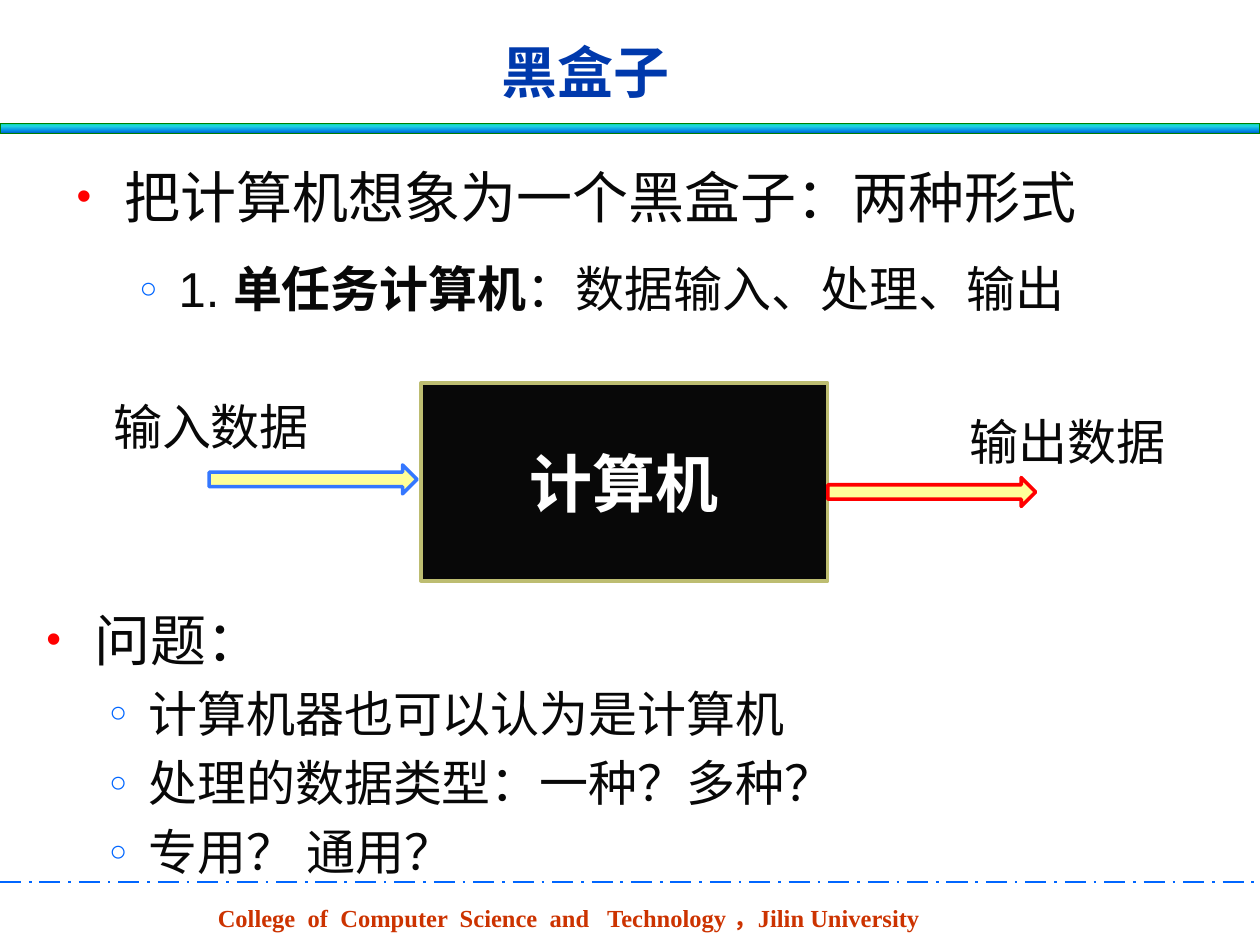
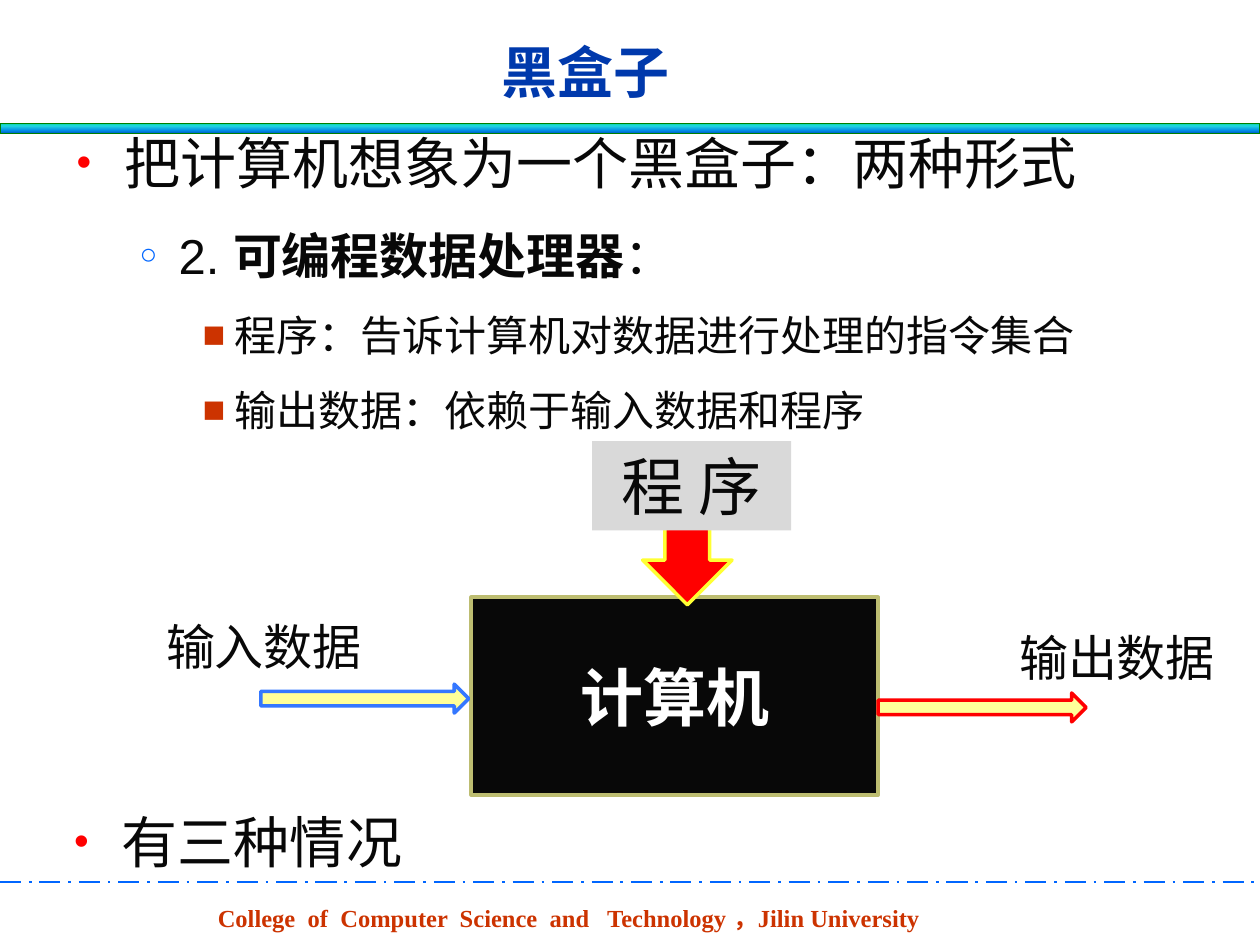
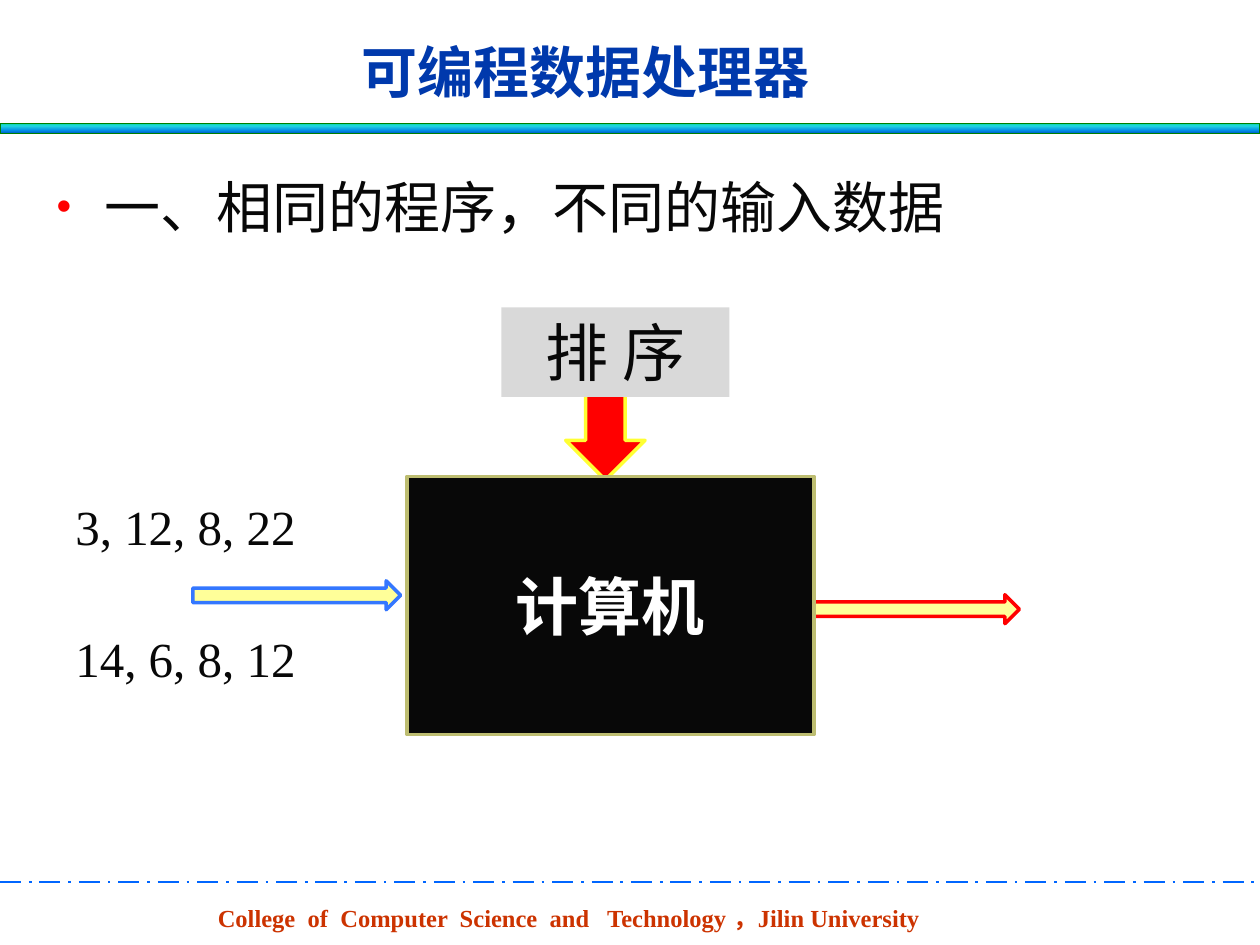
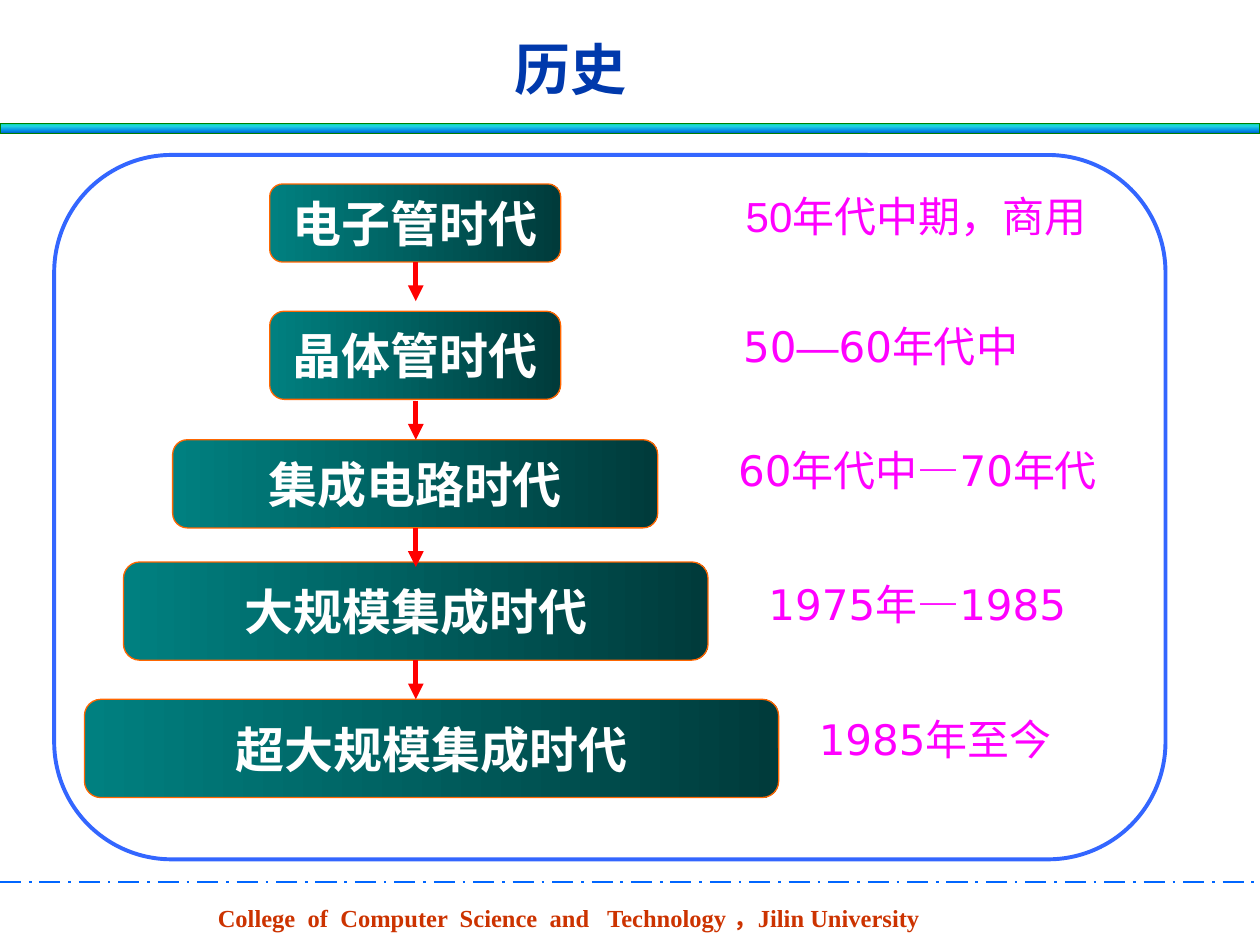
import dataclasses

import lxml.etree
import pptx
import pptx.dml.color
import pptx.enum.dml
import pptx.enum.shapes
import pptx.enum.text
import pptx.oxml.ns
import pptx.util

SHAPE = pptx.enum.shapes.MSO_SHAPE
ALIGN = pptx.enum.text.PP_ALIGN
MIDDLE = pptx.enum.text.MSO_ANCHOR.MIDDLE
TOP = pptx.enum.text.MSO_ANCHOR.TOP
SCALE = 9144


@dataclasses.dataclass(frozen=True)
class Theme:
    """Colours, faces and type styles (size, face, colour, bold) of the deck."""
    ink: str = "080808"
    red: str = "FF0000"
    blue: str = "3477FF"
    rule: str = "0066FF"
    frame: str = "3366FF"
    cream: str = "FFFF99"
    yellow: str = "FFFF33"
    olive: str = "BDBD71"
    grey: str = "D9D9D9"
    orange: str = "FF6600"
    green: str = "008000"
    asian: str = "Noto Sans CJK SC"
    band: tuple = ((0, "03D4A8"), (25, "21D6E0"), (75, "0087E6"), (100, "005CBF"))
    teal: tuple = ((0, "008080"), (100, "003B3B"))
    title: tuple = (32, "Noto Sans CJK SC", "0039AC", True)
    history: tuple = (32, "Arial", "0039AC", True)
    footer: tuple = (14, "Times New Roman", "CC3300", True)
    label: tuple = (28, "Times New Roman", "080808", False)
    machine: tuple = (36, "Arial", "FFFFFF", True)
    program: tuple = (36, "Noto Sans CJK JP", "080808", False)
    era: tuple = (28, "Arial", "FFFFFF", True)
    date: tuple = (24, "DejaVu Sans", "FF00FF", False)
    sizes: tuple = (32, 28, 24)
    marks: tuple = (
        ("•", "FF0000", 75, 38, -38),
        ("○", "0066FF", 60, 81, -31),
        ("■", "CC3300", 90, 125, -25),
    )


def px(size):
    """Turn px into EMU."""
    return pptx.util.Emu(size * SCALE)


def rgb(code):
    """Turn a hex code into a colour."""
    return pptx.dml.color.RGBColor.from_string(code)


def node(parent, tag, **attrs):
    """Append a DrawingML element."""
    name = pptx.oxml.ns.qn("a:" + tag)
    return lxml.etree.SubElement(parent, name, **attrs)


class Deck:
    """Holds the theme, the deck and the current slide."""

    def __init__(self, theme):
        """Start an empty deck of 10 by 7.5 inches."""
        self.theme = theme
        self.file = pptx.Presentation()
        self.file.slide_width, self.file.slide_height = px(1000), px(750)
        self.layout = self.file.slide_layouts[5]
        self.slide = None

    def page(self, title, box=(138, 21, 654, 71), style=None):
        """Add a slide with a title."""
        first = self.slide is None
        self.slide = self.file.slides.add_slide(self.layout)
        if first:
            self.chrome()
        head = self.slide.shapes.title
        head.left, head.top, head.width, head.height = map(px, box)
        self.put(head, title, style or self.theme.title, ALIGN.CENTER, MIDDLE)

    def chrome(self):
        """Put footer, rule and band on the shared layout."""
        look = self.theme
        words = "College  of  Computer  Science  and   Technology ，Jilin University"
        parts = (
            self.text((163, 712, 592, 33), words, look.footer),
            self.line((0, 700), (1000, 700), look.rule, 1.5, dash=True),
            self.shape(SHAPE.RECTANGLE, (0, 98, 1000, 8), look.band, look.green, 0.75, 270),
        )
        for part in parts:
            self.layout.shapes.element.append(part.element)

    def font(self, para, style):
        """Set the font of a paragraph."""
        font = para.font
        size, font.name, color, font.bold = style
        font.size = pptx.util.Pt(size)
        font.color.rgb = rgb(color)
        props = para._p.pPr.find(pptx.oxml.ns.qn("a:defRPr"))
        node(props, "ea", typeface=self.theme.asian)

    def runs(self, para, parts):
        """Add runs, each a string or a string with its face and weight."""
        for part in parts:
            words, face, bold = (part, None, None) if isinstance(part, str) else part
            run = para.add_run()
            run.text = words
            if face:
                run.font.name = face
            if bold:
                run.font.bold = True

    def put(self, shape, words, style, align=ALIGN.LEFT, anchor=TOP, wrap=True):
        """Fill a shape with one paragraph."""
        frame = shape.text_frame
        frame.auto_size = pptx.enum.text.MSO_AUTO_SIZE.NONE
        frame.word_wrap = wrap
        frame.vertical_anchor = anchor
        para = frame.paragraphs[0]
        para.alignment = align
        self.runs(para, [words] if isinstance(words, str) else words)
        self.font(para, style)
        return para

    def text(self, box, words, style, wrap=True):
        """Add a text box."""
        shape = self.slide.shapes.add_textbox(*map(px, box))
        self.put(shape, words, style, wrap=wrap)
        return shape

    def indent(self, para, left, hang):
        """Set the left margin and the hanging indent."""
        props = para._p.get_or_add_pPr()
        props.set("marL", str(px(left)))
        props.set("indent", str(px(hang)))
        return props

    def points(self, box, items):
        """Add bullets, each a level, a wide flag and its runs."""
        look = self.theme
        frame = self.slide.shapes.add_textbox(*map(px, box)).text_frame
        frame.word_wrap = True
        for rank, (level, wide, *parts) in enumerate(items):
            para = frame.add_paragraph() if rank else frame.paragraphs[0]
            para.level = level
            para.alignment = ALIGN.JUSTIFY
            if wide:
                para.line_spacing = 1.5
            elif rank:
                para.space_before = pptx.util.Pt(6)
            mark, color, size, left, hang = look.marks[level]
            props = self.indent(para, left, hang)
            node(node(props, "buClr"), "srgbClr", val=color)
            node(props, "buSzPct", val=str(size * 1000))
            node(props, "buFont", typeface="Arial")
            node(props, "buChar", char=mark)
            self.runs(para, parts)
            self.font(para, (look.sizes[level], "Arial", look.ink, None))

    def shape(self, kind, box, fill=None, edge=None, width=1, angle=0):
        """Add a preset shape with a plain, graded or empty fill."""
        shape = self.slide.shapes.add_shape(kind, *map(px, box))
        shape.shadow.inherit = False
        if fill is None:
            shape.fill.background()
        elif isinstance(fill, str):
            shape.fill.solid()
            shape.fill.fore_color.rgb = rgb(fill)
        else:
            shape.fill.gradient()
            shape.fill.gradient_angle = angle
            stops = shape.element.spPr.find(".//" + pptx.oxml.ns.qn("a:gsLst"))
            stops.clear()
            for place, color in fill:
                stop = node(stops, "gs", pos=str(place * 1000))
                node(stop, "srgbClr", val=color)
        if edge:
            shape.line.color.rgb = rgb(edge)
            shape.line.width = pptx.util.Pt(width)
        else:
            shape.line.fill.background()
        return shape

    def line(self, start, end, color, width, dash=False, head=False):
        """Add a line or an arrow."""
        kind = pptx.enum.shapes.MSO_CONNECTOR.STRAIGHT
        line = self.slide.shapes.add_connector(kind, *map(px, start + end))
        line.line.color.rgb = rgb(color)
        line.line.width = pptx.util.Pt(width)
        if dash:
            line.line.dash_style = pptx.enum.dml.MSO_LINE.LONG_DASH_DOT
        props = line.element.spPr
        if head:
            node(props.find(pptx.oxml.ns.qn("a:ln")), "tailEnd", type="triangle")
        node(props, "effectLst")
        return line

    def machine(self, left, top, height=157):
        """Add the black box."""
        look = self.theme
        box = self.shape(SHAPE.RECTANGLE, (left, top, 323, height), look.ink, look.olive, 2)
        self.put(box, "计算机", look.machine, ALIGN.CENTER, MIDDLE)

    def flow(self, left, top, color):
        """Add a data arrow."""
        self.shape(SHAPE.RIGHT_ARROW, (left, top, 165, 23), self.theme.cream, color, 2)

    def program(self, arrow, box, words):
        """Add a program plate and its down arrow."""
        look = self.theme
        self.shape(SHAPE.DOWN_ARROW, arrow, look.red, look.yellow, 2)
        plate = self.shape(SHAPE.RECTANGLE, box, look.grey)
        self.put(plate, words, look.program, ALIGN.CENTER)

    def label(self, left, top, words):
        """Add a data label."""
        self.text((left, top, 177, 57), words, self.theme.label, wrap=False)

    def era(self, left, top, width, height, words):
        """Add an era plate."""
        look = self.theme
        kind = SHAPE.FLOWCHART_ALTERNATE_PROCESS
        plate = self.shape(kind, (left, top, width, height), look.teal, look.orange, 0.75)
        self.put(plate, words, look.era, ALIGN.CENTER, MIDDLE, False)

    def date(self, box, words):
        """Add the years of an era."""
        shape = self.slide.shapes.add_textbox(*map(px, box))
        para = self.put(shape, words, self.theme.date)
        para.line_spacing = 0.8
        self.indent(para, 38, -38)


def single(deck):
    """Build the single-task slide."""
    look = deck.theme
    deck.page("黑盒子")
    deck.points((51, 97, 890, 168), (
        (0, True, "把计算机想象为一个黑盒子：两种形式"),
        (1, True, "1. ", ("单任务计算机", None, True), "：数据输入、处理、输出"),
    ))
    deck.machine(334, 304)
    deck.flow(166, 369, look.blue)
    deck.flow(657, 379, look.red)
    deck.label(80, 310, "输入数据")
    deck.label(760, 322, "输出数据")
    deck.points((27, 449, 890, 241), (
        (0, True, "问题："),
        (1, False, "计算机器也可以认为是计算机"),
        (1, False, "处理的数据类型：一种？多种？"),
        (1, False, "专用？ 通用？"),
    ))


def coded(deck):
    """Build the programmable slide."""
    look = deck.theme
    deck.page("黑盒子")
    deck.points((51, 97, 890, 254), (
        (0, False, "把计算机想象为一个黑盒子：两种形式"),
        (1, True, "2. ", ("可编程数据处理器", None, True), "："),
        (2, True, "程序：告诉计算机对数据进行处理的指令集合"),
        (2, True, "输出数据：依赖于输入数据和程序"),
    ))
    deck.machine(374, 474)
    deck.flow(207, 543, look.blue)
    deck.label(122, 484, "输入数据")
    deck.flow(697, 550, look.red)
    deck.label(799, 493, "输出数据")
    deck.program((510, 409, 71, 71), (470, 350, 158, 71), "程 序")
    deck.points((49, 609, 343, 89), ((0, True, "有三种情况"),))


def sorting(deck):
    """Build the sorting slide."""
    look = deck.theme
    deck.page("可编程数据处理器")
    deck.points((35, 105, 795, 112), ((0, True, "一、相同的程序，不同的输入数据"),))
    deck.flow(153, 461, look.blue)
    deck.flow(644, 472, look.red)
    deck.program((449, 310, 63, 71), (398, 244, 181, 71), "排 序")
    for top, words in ((389, "3, 12, 8, 22"), (494, "14, 6, 8, 12")):
        deck.text((50, top, 207, 57), words, look.label)
    deck.machine(323, 378, 205)


def history(deck):
    """Build the history slide."""
    look = deck.theme
    deck.page("历史", (67, 21, 772, 66), look.history)
    deck.shape(SHAPE.FLOWCHART_ALTERNATE_PROCESS, (43, 123, 882, 559), None, look.frame, 2.25)
    for era in (
        (214, 146, 231, 62, "电子管时代"),
        (214, 247, 231, 70, "晶体管时代"),
        (137, 349, 385, 70, "集成电路时代"),
        (98, 446, 464, 78, "大规模集成时代"),
        (67, 555, 551, 78, "超大规模集成时代"),
    ):
        deck.era(*era)
    for top in (208, 318, 419, 524):
        deck.line((330, top), (330, top + 31), look.red, 3, head=True)
    dash = ("—", "Arial", None)
    for box, words in (
        ((582, 154, 300, 55), [("50年代中期，商用", "Arial", None)]),
        ((580, 257, 270, 50), ["50", dash, "60年代中"]),
        ((576, 356, 305, 50), ["60年代中", dash, "70年代"]),
        ((600, 462, 288, 50), "1975年—1985"),
        ((640, 569, 242, 50), "1985年至今"),
    ):
        deck.date(box, words)


def main():
    """Build and save the deck."""
    deck = Deck(Theme())
    for build in (single, coded, sorting, history):
        build(deck)
    deck.file.save("out.pptx")


if __name__ == "__main__":
    main()
